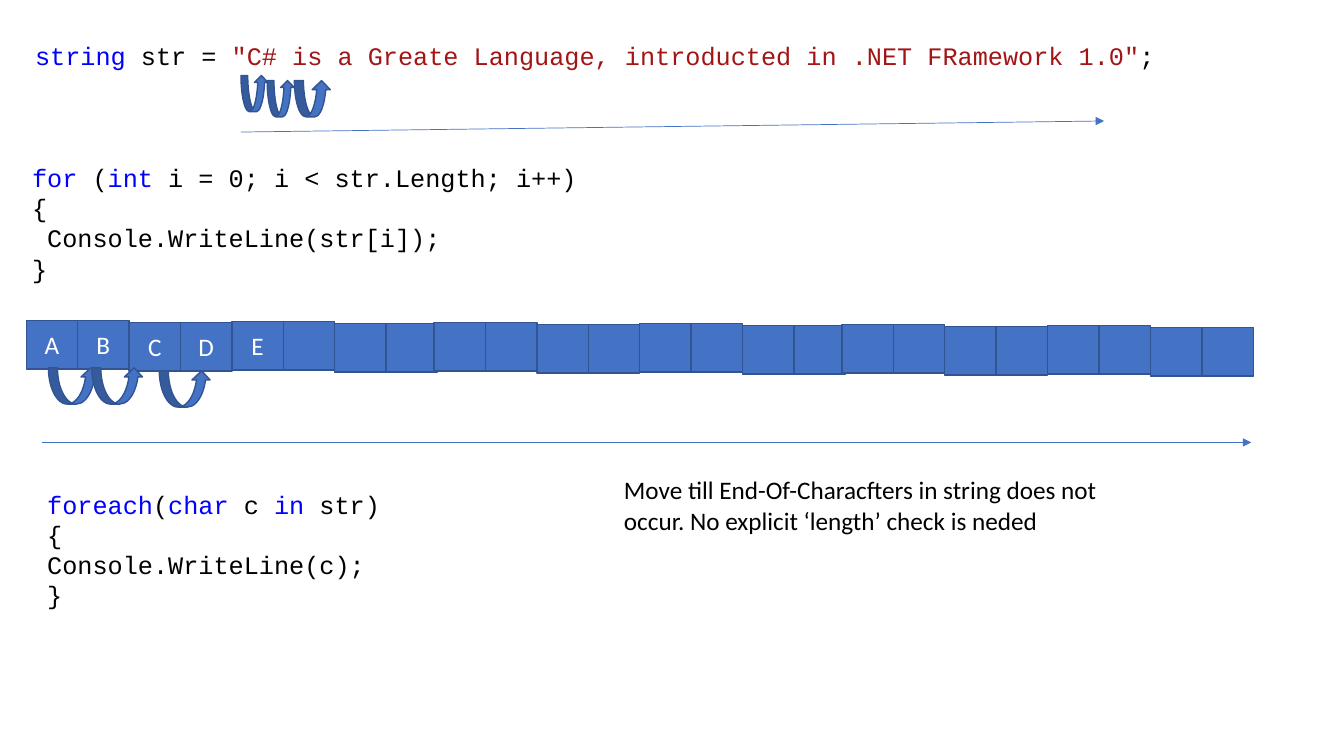
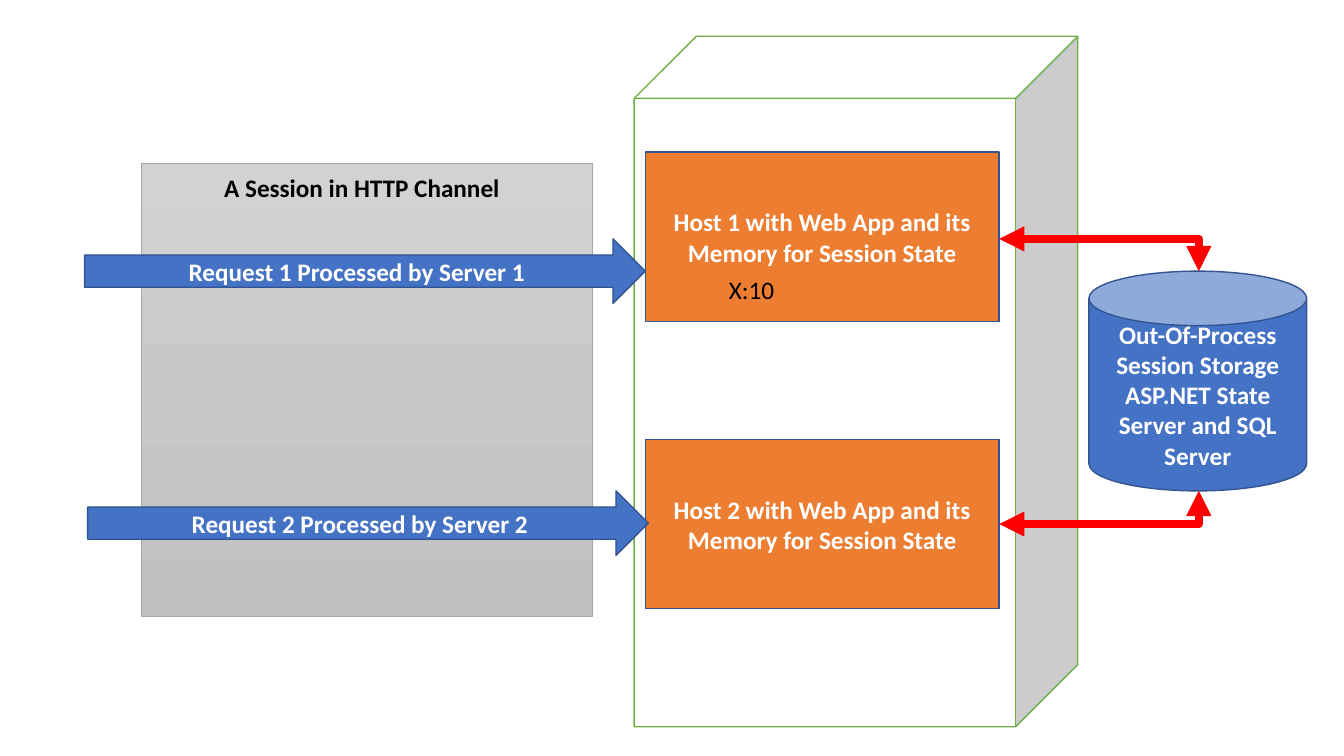
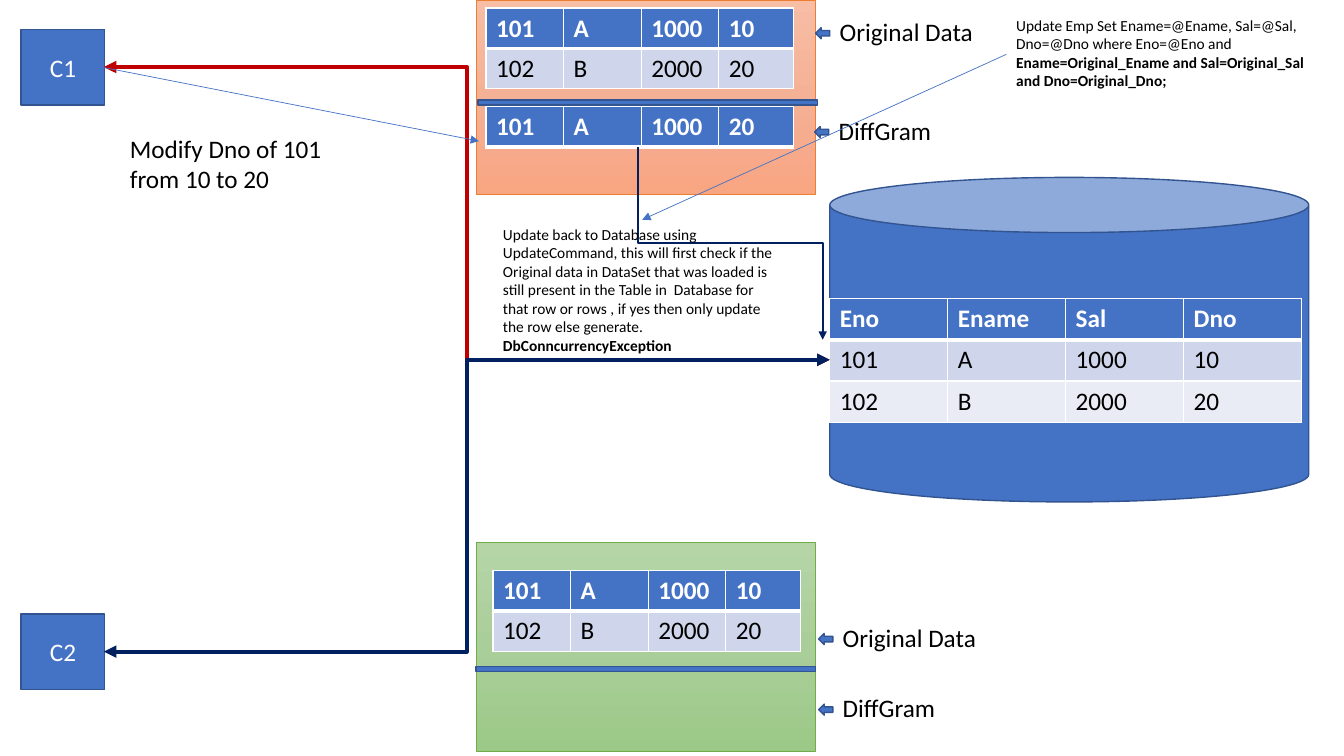
from copy import deepcopy
from typing import NamedTuple

from lxml.etree import SubElement
from pptx import Presentation
from pptx.dml.color import RGBColor
from pptx.enum.shapes import MSO_CONNECTOR, MSO_SHAPE
from pptx.enum.text import MSO_ANCHOR, MSO_AUTO_SIZE, PP_ALIGN
from pptx.oxml.ns import qn
from pptx.util import Inches, Pt

BODY_FONT, CODE_FONT = "Calibri", "Courier New"
BLACK, WHITE = "000000", "FFFFFF"
BLUE, BLUE_EDGE, NAVY = "4472C4", "325491", "002060"
ORANGE, GREEN, GRAY = "ED7D31", "70AD47", "A5A5A5"
RED, DARK_RED = "FF0000", "C00000"
KEYWORD, LITERAL = "0000FF", "A31515"
ROW_FILLS = (BLUE, "CFD5EA", "E9EBF5")


class Run(NamedTuple):
    text: str
    color: str = BLACK
    bold: bool = False


class Box(NamedTuple):
    x: float
    y: float
    w: float
    h: float

    def inches(self) -> list:
        return [Inches(v) for v in self]


class Point(NamedTuple):
    x: float
    y: float


class Panel(NamedTuple):
    box: Box
    stops: tuple
    edge: str


class Grid(NamedTuple):
    x: float
    y: float
    col_widths: tuple
    row_height: float
    rows: list


def rgb(color: str) -> RGBColor:
    return RGBColor.from_string(color)


def write(tf, paragraphs: list, size: float = 18, font: str = BODY_FONT, align=None) -> None:
    """Fill a text frame; each paragraph is a list of runs."""
    tf.word_wrap = True
    for i, runs in enumerate(paragraphs):
        p = tf.paragraphs[0] if i == 0 else tf.add_paragraph()
        p.alignment = align
        for run in runs:
            r = p.add_run()
            r.text = run.text
            r.font.name, r.font.size, r.font.bold = font, Pt(size), run.bold
            r.font.color.rgb = rgb(run.color)


def add_text(s, box: Box, paragraphs: list, size: float = 18, font: str = BODY_FONT, align=None) -> None:
    tf = s.shapes.add_textbox(*box.inches()).text_frame
    tf.auto_size = MSO_AUTO_SIZE.SHAPE_TO_FIT_TEXT
    write(tf, paragraphs, size, font, align)


def add_shape(s, kind, box: Box, lines: tuple = (), fill: str = BLUE, edge: str = BLUE_EDGE,
              bold: bool = False, adj: float | None = None):
    sp = s.shapes.add_shape(kind, *box.inches())
    sp.shadow.inherit = False
    sp.fill.solid()
    sp.fill.fore_color.rgb = rgb(fill)
    sp.line.color.rgb = rgb(edge)
    sp.line.width = Pt(1)
    if adj is not None:
        sp.adjustments[0] = adj
    if lines:
        sp.text_frame.vertical_anchor = MSO_ANCHOR.MIDDLE
        write(sp.text_frame, [[Run(line, WHITE, bold)] for line in lines], align=PP_ALIGN.CENTER)
    return sp


def add_panel(s, panel: Panel) -> None:
    """Rectangle with a three-stop gradient running downwards."""
    sp = add_shape(s, MSO_SHAPE.RECTANGLE, panel.box, edge=panel.edge)
    sp.line.width = Pt(0.5)
    sp.fill.gradient()
    sp.fill.gradient_angle = 270
    gs_list = sp._element.spPr.find(qn("a:gradFill")).find(qn("a:gsLst"))
    gs_list.insert(1, deepcopy(gs_list[0]))
    for i, (stop, color) in enumerate(zip(sp.fill.gradient_stops, panel.stops)):
        stop.position = i / 2
        stop.color.rgb = rgb(color)


def add_arrow(s, start: Point, end: Point, color: str = BLUE, width: float = 0.5,
              kind=MSO_CONNECTOR.STRAIGHT, both_ends: bool = False):
    c = s.shapes.add_connector(kind, *(Inches(v) for v in (*start, *end)))
    c.line.color.rgb = rgb(color)
    c.line.width = Pt(width)
    sp_pr = c._element.spPr
    for tag in ("a:headEnd", "a:tailEnd")[0 if both_ends else 1:]:
        SubElement(sp_pr.find(qn("a:ln")), qn(tag), type="triangle")
    SubElement(sp_pr, qn("a:effectLst"))
    return c


def add_corner_arrow(s, start: Point, end: Point, color: str, width: float) -> None:
    """Two-headed connector with a single bend."""
    c = add_arrow(s, start, end, color, width, MSO_CONNECTOR.ELBOW, both_ends=True)
    c._element.spPr.find(qn("a:prstGeom")).set("prst", "bentConnector2")


def add_drop_arrow(s, start: Point, end: Point, color: str, width: float) -> None:
    """Elbow that leaves downwards: a sideways elbow turned by 270 degrees."""
    cx, cy = (start.x + end.x) / 2, (start.y + end.y) / 2
    half_w, half_h = (end.y - start.y) / 2, (end.x - start.x) / 2
    c = add_arrow(s, Point(cx + half_w, cy - half_h), Point(cx - half_w, cy + half_h),
                  color, width, MSO_CONNECTOR.ELBOW)
    c._element.spPr.find(qn("a:xfrm")).set("rot", str(270 * 60000))


def set_borders(cell, widths: dict) -> None:
    tc_pr = cell._tc.get_or_add_tcPr()
    for i, (side, width) in enumerate(widths.items()):
        ln = SubElement(tc_pr, qn(f"a:ln{side}"), w=str(Pt(width)))
        SubElement(SubElement(ln, qn("a:solidFill")), qn("a:srgbClr"), val=WHITE)
        tc_pr.insert(i, ln)


def add_grid(s, grid: Grid) -> None:
    box = Box(grid.x, grid.y, sum(grid.col_widths), grid.row_height * len(grid.rows))
    table = s.shapes.add_table(len(grid.rows), len(grid.col_widths), *box.inches()).table
    for col, width in zip(table.columns, grid.col_widths):
        col.width = Inches(width)
    for i, values in enumerate(grid.rows):
        table.rows[i].height = Inches(grid.row_height)
        for j, value in enumerate(values):
            cell = table.cell(i, j)
            cell.fill.solid()
            cell.fill.fore_color.rgb = rgb(ROW_FILLS[i])
            write(cell.text_frame, [[Run(value, BLACK if i else WHITE, i == 0)]])
            set_borders(cell, {"L": 1, "R": 1, "T": 3 if i == 1 else 1, "B": 1 if i else 3})


def build_loops(s) -> None:
    add_text(s, Box(0.1, 0.35, 13.23, 0.4), [[
        Run(" "), Run("string", KEYWORD), Run(" str = "),
        Run('"C# is a Greate Language, introducted in .NET FRamework 1.0"', LITERAL), Run(";"),
    ]], font=CODE_FONT)
    add_text(s, Box(0.22, 1.56, 12.11, 1.31), [
        [Run("for", KEYWORD), Run(" ("), Run("int", KEYWORD), Run(" i = 0; i < str.Length; i++)")],
        [Run("{")], [Run(" Console.WriteLine(str[i]);")], [Run("}")],
    ], font=CODE_FONT)

    cell_w, cell_h, block_step = 0.51, 0.48, 4.045
    pair_offsets = (0, 0.02, 0.01, 0.03)
    letters = "ABCDE"
    hops = [Box(2.39, 0.75, 0.27, 0.36), Box(2.65, 0.8, 0.27, 0.36), Box(2.92, 0.8, 0.36, 0.36),
            Box(0.48, 3.65, cell_w, 0.36), Box(0.91, 3.65, cell_w, 0.36), Box(1.58, 3.68, cell_w, 0.36)]
    for i in range(24):
        block, k = divmod(i, 8)
        box = Box(0.26 + block * block_step + k * cell_w,
                  3.18 + 0.02 * block + pair_offsets[k // 2], cell_w, cell_h)
        add_shape(s, MSO_SHAPE.RECTANGLE, box, tuple(letters[i:i + 1]))
    for hop in hops:
        sp = add_shape(s, MSO_SHAPE.CURVED_DOWN_ARROW, hop)
        sp._element.spPr.find(qn("a:xfrm")).set("flipV", "1")
    add_arrow(s, Point(2.39, 1.31), Point(10.95, 1.2))
    add_arrow(s, Point(0.42, 4.39), Point(12.41, 4.39))

    add_text(s, Box(0.37, 4.8, 6.67, 1.31), [
        [Run("foreach", KEYWORD), Run("("), Run("char", KEYWORD), Run(" c "),
         Run("in", KEYWORD), Run(" str)")],
        [Run("{")], [Run("Console.WriteLine(c);")], [Run("}")],
    ], font=CODE_FONT)
    add_text(s, Box(6.09, 4.66, 5.09, 0.71), [[Run(
        "Move till End-Of-Characfters in string does not occur. "
        "No explicit ‘length’ check is neded")]])


def build_session(s) -> None:
    add_shape(s, MSO_SHAPE.CUBE, Box(6.29, 0.36, 4.4, 6.85), fill=WHITE, edge=GREEN, adj=0.14)
    for n, y in ((1, 1.51), (2, 4.36)):
        add_shape(s, MSO_SHAPE.RECTANGLE, Box(6.4, y, 3.51, 1.68),
                  (f"Host {n} with Web App and its Memory for Session State",), ORANGE, bold=True)
    add_panel(s, Panel(Box(1.4, 1.62, 4.48, 4.49), ("D2D2D2", "C8C8C8", "C0C0C0"), GRAY))
    add_text(s, Box(1.48, 1.66, 4.22, 0.4), [[Run("A Session in HTTP Channel", bold=True)]],
             align=PP_ALIGN.CENTER)
    for n, x, y in ((1, 0.84, 2.37), (2, 0.87, 4.87)):
        add_shape(s, MSO_SHAPE.RIGHT_ARROW, Box(x, y, 5.56, 0.64),
                  (f"Request {n} Processed by Server {n}",), bold=True)
    add_text(s, Box(7.13, 2.67, 1.52, 0.4), [[Run("X:10")]])
    storage = Box(10.8, 2.69, 2.16, 2.18)
    add_shape(s, MSO_SHAPE.CAN, storage,
              ("Out-Of-Process Session Storage", "ASP.NET State Server and SQL Server"), bold=True)
    for host_y, storage_y in ((2.37, storage.y), (5.2, storage.y + storage.h)):
        add_corner_arrow(s, Point(9.91, host_y), Point(11.89, storage_y), RED, 6)


def build_concurrency(s) -> None:
    row_1, row_2 = ("101", "A", "1000", "10"), ("102", "B", "2000", "20")
    database_link = Point(8.23, 3.57)
    add_shape(s, MSO_SHAPE.CAN, Box(8.23, 1.76, 4.75, 3.22), adj=0.17)
    add_grid(s, Grid(8.23, 2.96, (1.17,) * 4, 0.41, [("Eno", "Ename", "Sal", "Dno"), row_1, row_2]))

    for name, y, color in (("C1", 0.29, DARK_RED), ("C2", 6.09, NAVY)):
        add_shape(s, MSO_SHAPE.RECTANGLE, Box(0.21, y, 0.83, 0.75), (name,))
        add_arrow(s, Point(1.03, y + 0.375), database_link, color, 3, MSO_CONNECTOR.ELBOW, True)

    for panel in (Panel(Box(4.72, 0, 3.37, 1.93), ("F7BDA5", "F5B196", "F8A582"), ORANGE),
                  Panel(Box(4.72, 5.38, 3.37, 2.07), ("B5D5A7", "AACE9A", "9CC987"), GREEN)):
        add_panel(s, panel)
    for x, y in ((4.74, 0.99), (4.72, 6.61)):
        add_shape(s, MSO_SHAPE.RECTANGLE, Box(x, y, 3.37, 0.05))
    for label, x, y in (("Original Data", 8.23, 0.11), ("Original Data", 8.26, 6.12),
                        ("DiffGram", 8.22, 1.09), ("DiffGram", 8.26, 6.82)):
        add_text(s, Box(x, y, 1.97, 0.4), [[Run(label)]])
        add_shape(s, MSO_SHAPE.LEFT_ARROW, Box(x - 0.14, y + 0.165, 0.14, 0.11))

    data_cols = (0.77, 0.77, 0.77, 0.74)
    for x, y, rows in ((4.82, 0.08, [row_1, row_2]), (4.89, 5.66, [row_1, row_2]),
                       (4.82, 1.06, [("101", "A", "1000", "20")])):
        add_grid(s, Grid(x, y, data_cols, 0.4, rows))

    add_arrow(s, Point(1.03, 0.67), Point(4.75, 1.4))
    add_text(s, Box(1.19, 1.27, 2.46, 0.71), [[Run("Modify Dno of 101 from 10 to 20")]])
    add_drop_arrow(s, Point(6.33, 1.46), Point(8.16, 3.37), NAVY, 1.5)
    add_text(s, Box(4.89, 2.18, 2.97, 1.4), [[
        Run("Update back to Database using UpdateCommand, this will first check if the Original "
            "data in DataSet that was loaded is still present in the Table in  Database for that "
            "row or rows , if yes then only update the row else generate. "),
        Run("DbConncurrencyException", bold=True)]], size=11)
    add_text(s, Box(9.98, 0.11, 3.25, 0.84), [[
        Run("Update Emp Set Ename=@Ename, Sal=@Sal, Dno=@Dno where Eno=@Eno and "),
        Run("Ename=Original_Ename and Sal=Original_Sal and Dno=Original_Dno;", bold=True)]], size=11)
    add_arrow(s, Point(9.98, 0.54), Point(6.37, 2.18))


def main() -> None:
    prs = Presentation()
    prs.slide_width, prs.slide_height = Inches(13.33), Inches(7.5)
    for build in (build_loops, build_session, build_concurrency):
        build(prs.slides.add_slide(prs.slide_layouts[6]))
    prs.save("out.pptx")


if __name__ == "__main__":
    main()
